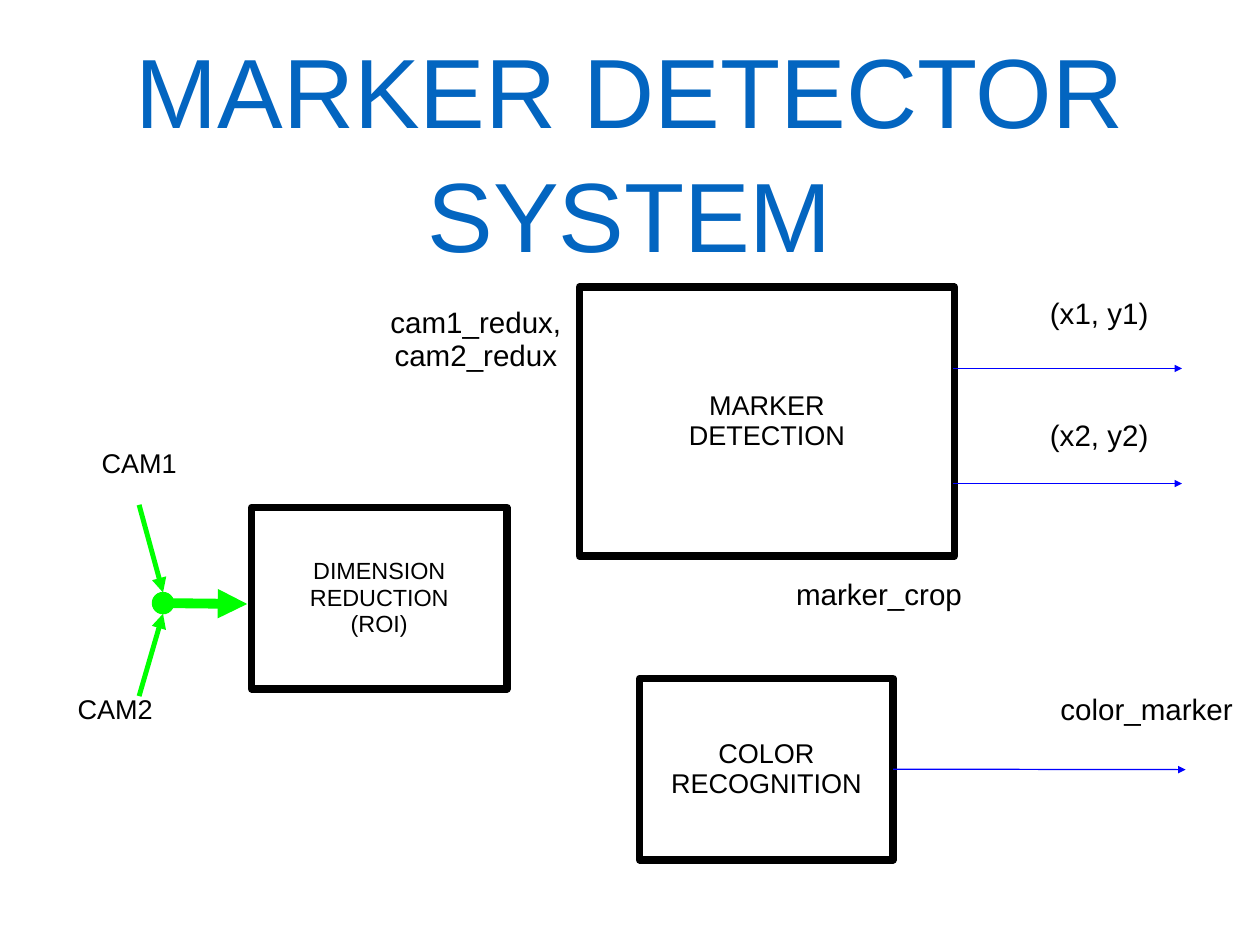
"""Build the marker detector system block diagram slide."""
import pptx
import pptx.util
import pptx.dml.color
import pptx.enum.shapes
import pptx.enum.text
import pptx.oxml.ns
import lxml.etree

Inches = pptx.util.Inches
Pt = pptx.util.Pt
RGB = pptx.dml.color.RGBColor
qn = pptx.oxml.ns.qn
COLORS = {"title": "0365C0", "ink": "000000", "camera": "00FF00", "output": "0000FF"}

deck = pptx.Presentation()
deck.slide_width = Inches(14.22)
deck.slide_height = Inches(10.67)
slide = deck.slides.add_slide(deck.slide_layouts[6])


def write_text(text, box=None, at=None, size=24, color="ink", spacing=0.93, inset=0.06):
    if box is None:
        box = slide.shapes.add_textbox(*map(Inches, at))
    frame = box.text_frame
    frame.word_wrap = True
    frame.vertical_anchor = pptx.enum.text.MSO_ANCHOR.MIDDLE
    frame.margin_left = frame.margin_right = Inches(inset)
    frame.margin_top = frame.margin_bottom = Inches(inset)
    frame.text = text
    for paragraph in frame.paragraphs:
        paragraph.alignment = pptx.enum.text.PP_ALIGN.CENTER
        paragraph.line_spacing = spacing
        paragraph.font.name = "Arial"
        paragraph.font.size = Pt(size)
        paragraph.font.color.rgb = RGB.from_string(COLORS[color])


def add_arrow(start, end, color, width):
    arrow = slide.shapes.add_connector(
        pptx.enum.shapes.MSO_CONNECTOR.STRAIGHT, *map(Inches, start + end))
    arrow.line.color.rgb = RGB.from_string(COLORS[color])
    arrow.line.width = Pt(width)
    lxml.etree.SubElement(arrow.line._get_or_add_ln(), qn("a:tailEnd"), type="triangle")
    lxml.etree.SubElement(arrow._element.spPr, qn("a:effectLst"))
    return arrow


write_text("MARKER DETECTOR SYSTEM", at=(1.04, 0.49, 12.14, 2.36), size=80,
           color="title", spacing=1.05, inset=0)

blocks = {}
for label, at, size in [
    ("DIMENSION\nREDUCTION\n(ROI)", (2.84, 5.73, 2.88, 2.05), 19),
    ("MARKER\nDETECTION", (6.54, 3.24, 4.23, 3.04), 22),
    ("COLOR\nRECOGNITION", (7.22, 7.66, 2.86, 2.05), 22),
]:
    block = slide.shapes.add_shape(pptx.enum.shapes.MSO_SHAPE.RECTANGLE, *map(Inches, at))
    block.shadow.inherit = False
    block.fill.background()
    block.line.color.rgb = RGB.from_string(COLORS["ink"])
    block.line.width = Pt(6)
    lxml.etree.SubElement(block.line._get_or_add_ln(), qn("a:round"))
    write_text(label, box=block, size=size)
    blocks[label] = block

add_arrow((1.87, 6.81), (2.79, 6.82), "camera", 8)
junction = slide.shapes.add_shape(
    pptx.enum.shapes.MSO_SHAPE.OVAL, *map(Inches, (1.72, 6.69, 0.24, 0.24)))
junction.shadow.inherit = False
junction.fill.solid()
junction.fill.fore_color.rgb = RGB.from_string(COLORS["camera"])
junction.line.color.rgb = RGB.from_string(COLORS["camera"])
junction.line.width = Pt(1)

for camera, at, start, end in [
    ("CAM1", (1.03, 5.02, 1.08, 0.44), (1.57, 5.7), (1.84, 6.69)),
    ("CAM2", (0.76, 7.8, 1.08, 0.44), (1.57, 7.86), (1.84, 6.93)),
]:
    write_text(camera, at=at, size=22)
    add_arrow(start, end, "camera", 4)

for signal, at in [
    ("cam1_redux, cam2_redux", (4.2, 3.43, 2.34, 0.83)),
    ("marker_crop", (8.75, 6.48, 2.34, 0.48)),
    ("color_marker", (11.77, 7.78, 2.34, 0.48)),
    ("(x1, y1)", (11.68, 3.31, 1.45, 0.48)),
    ("(x2, y2)", (11.68, 4.69, 1.45, 0.48)),
]:
    write_text(signal, at=at)

for y in (4.16, 5.46):
    add_arrow((10.76, y), (13.34, y), "output", 1)
color_output = add_arrow((10.08, 8.68), (13.38, 8.69), "output", 1)
color_output.begin_connect(blocks["COLOR\nRECOGNITION"], 3)

deck.save("out.pptx")
